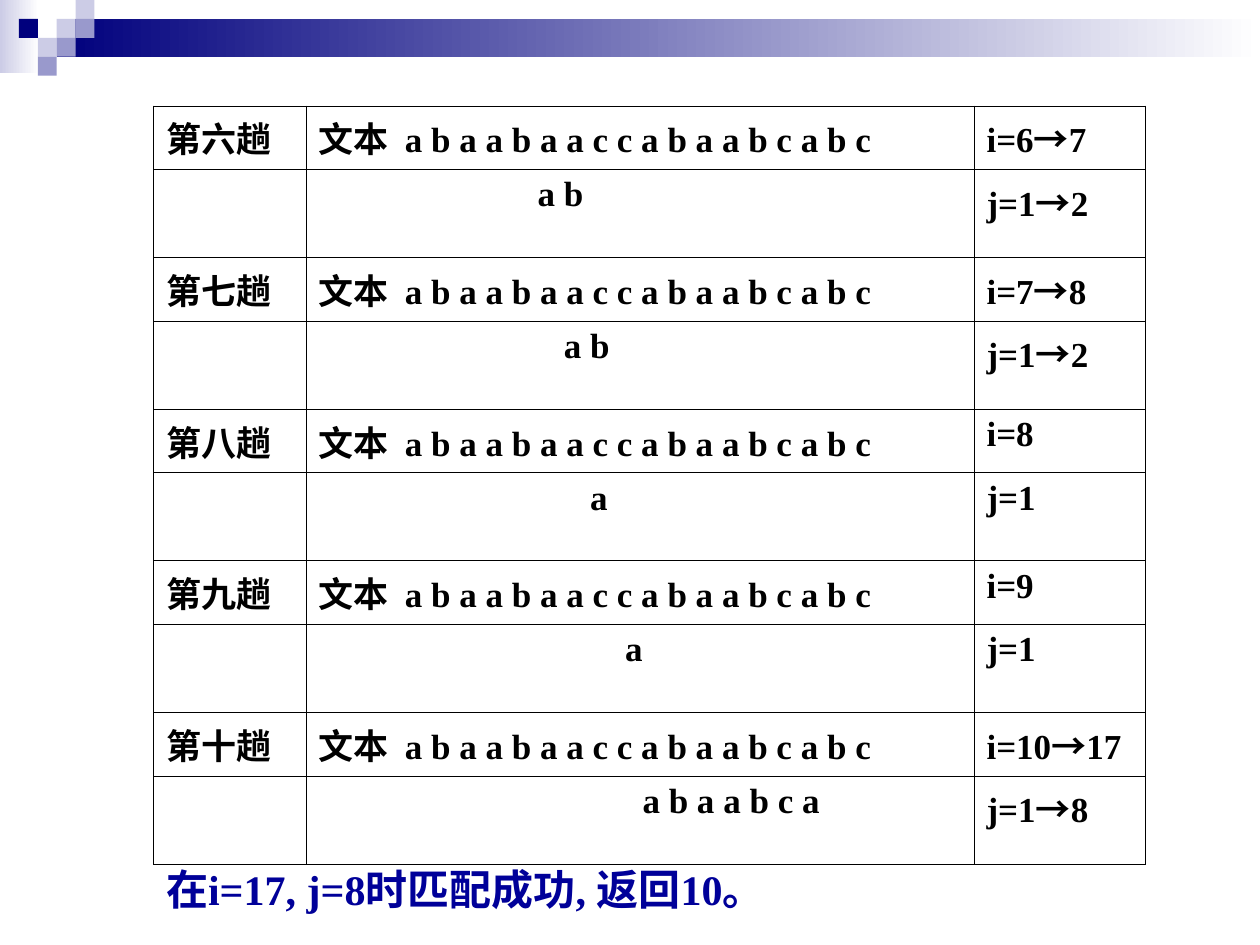
from lxml import etree
from pptx import Presentation
from pptx.dml.color import RGBColor
from pptx.enum.shapes import MSO_SHAPE
from pptx.enum.text import MSO_ANCHOR
from pptx.oxml.ns import qn
from pptx.util import Inches, Pt

RECTANGLE = MSO_SHAPE.RECTANGLE
BOTTOM = MSO_ANCHOR.BOTTOM

LATIN_FONT = "Times New Roman"
CHINESE_FONT = "Noto Sans CJK SC"
ARROW = "→"
COLORS = {
    "white": "FFFFFF",
    "black": "000000",
    "navy": "00007D",
    "blue": "000099",
    "lavender": "CCCCE6",
    "violet": "9999CC",
}

SEARCHED_TEXT = "文本  a b a a b a a c c a b a a b c a b c"
# (pass, matched pattern, pattern indent in space widths, i, j)
PASSES = [
    ("第六趟", "a b", 25, "i=6→7", "j=1→2"),
    ("第七趟", "a b", 28, "i=7→8", "j=1→2"),
    ("第八趟", "a", 31, "i=8", "j=1"),
    ("第九趟", "a", 35, "i=9", "j=1"),
    ("第十趟", "a b a a b c a", 37, "i=10→17", "j=1→8"),
]
CONCLUSION = "在i=17, j=8时匹配成功, 返回10。"

TABLE_LEFT, TABLE_TOP = 1.22, 0.84
COLUMN_WIDTHS = [1.21, 5.3, 1.36]
TEXT_ROW, PATTERN_ROW = 0.44, 0.7
TABLE_SIZE = 20
SPACE_WIDTH = Pt(TABLE_SIZE / 4)

# (left, top, width, height, colour at the right, colour at the left)
BANDS = [
    (0, 0, 0.31, 0.58, "white", "lavender"),
    (0.45, 0.15, 9.55, 0.3, "white", "navy"),
]
SQUARE = 0.15
# (column, row, colour) on the grid of squares
SQUARES = [
    (3, 1, "lavender"),
    (4, 0, "lavender"),
    (4, 1, "violet"),
    (2, 2, "lavender"),
    (1, 1, "navy"),
    (3, 2, "violet"),
    (2, 3, "violet"),
]


def rgb(name):
    return RGBColor.from_string(COLORS[name])


def add_rectangle(slide, left, top, width, height):
    shape = slide.shapes.add_shape(
        RECTANGLE, Inches(left), Inches(top), Inches(width), Inches(height))
    shape.shadow.inherit = False
    shape.line.fill.background()
    return shape


def add_decoration(slide):
    for *box, right_color, left_color in BANDS:
        fill = add_rectangle(slide, *box).fill
        fill.gradient()
        fill.gradient_angle = 180
        for stop, color in zip(fill.gradient_stops, (right_color, left_color)):
            stop.color.rgb = rgb(color)
    for column, row, color in SQUARES:
        fill = add_rectangle(
            slide, column * SQUARE, row * SQUARE, SQUARE, SQUARE).fill
        fill.solid()
        fill.fore_color.rgb = rgb(color)


def write(paragraph, text, size, color):
    """Write bold text, with each arrow in a run of the Chinese font."""
    before, arrow, after = text.partition(ARROW)
    for part in filter(None, (before, arrow, after)):
        run = paragraph.add_run()
        run.text = part
        font = run.font
        font.size = Pt(size)
        font.bold = True
        font.color.rgb = rgb(color)
        font.name = CHINESE_FONT if part == ARROW else LATIN_FONT
        latin = run._r.rPr.find(qn("a:latin"))
        east_asian = etree.Element(qn("a:ea"), typeface=CHINESE_FONT)
        latin.addnext(east_asian)


def add_borders(cell):
    properties = cell._tc.get_or_add_tcPr()
    for index, side in enumerate(("lnL", "lnR", "lnT", "lnB")):
        line = etree.Element(qn(f"a:{side}"), w=str(Pt(0.45)))
        fill = etree.SubElement(line, qn("a:solidFill"))
        etree.SubElement(fill, qn("a:srgbClr"), val=COLORS["black"])
        properties.insert(index, line)


def add_pass_table(slide):
    heights = [TEXT_ROW, PATTERN_ROW] * len(PASSES)
    table = slide.shapes.add_table(
        len(heights), len(COLUMN_WIDTHS), Inches(TABLE_LEFT), Inches(TABLE_TOP),
        Inches(sum(COLUMN_WIDTHS)), Inches(sum(heights))).table
    table.first_row = False
    table.horz_banding = False
    for column, width in zip(table.columns, COLUMN_WIDTHS):
        column.width = Inches(width)
    for row, height in zip(table.rows, heights):
        row.height = Inches(height)
    for cell in table.iter_cells():
        cell.fill.background()
        add_borders(cell)

    for index, (name, pattern, indent, i_value, j_value) in enumerate(PASSES):
        rows = [(name, SEARCHED_TEXT, i_value), ("", pattern, j_value)]
        for offset, texts in enumerate(rows):
            for column, text in enumerate(texts):
                cell = table.cell(2 * index + offset, column)
                write(cell.text_frame.paragraphs[0], text, TABLE_SIZE, "black")
        pattern_paragraph = table.cell(2 * index + 1, 1).text_frame.paragraphs[0]
        pattern_properties = pattern_paragraph._p.get_or_add_pPr()
        pattern_properties.set("marL", str(indent * SPACE_WIDTH))
        pattern_properties.set("indent", "0")


def add_conclusion(slide):
    box = slide.shapes.add_textbox(
        Inches(TABLE_LEFT), Inches(6.51), Inches(5.43), Inches(0.79))
    frame = box.text_frame
    frame.word_wrap = False
    frame.vertical_anchor = BOTTOM
    write(frame.paragraphs[0], CONCLUSION, 24, "blue")


def main():
    presentation = Presentation()
    presentation.slide_width = Inches(10)
    presentation.slide_height = Inches(7.5)
    slide = presentation.slides.add_slide(presentation.slide_layouts[6])
    add_decoration(slide)
    add_pass_table(slide)
    add_conclusion(slide)
    presentation.save("out.pptx")


if __name__ == "__main__":
    main()
